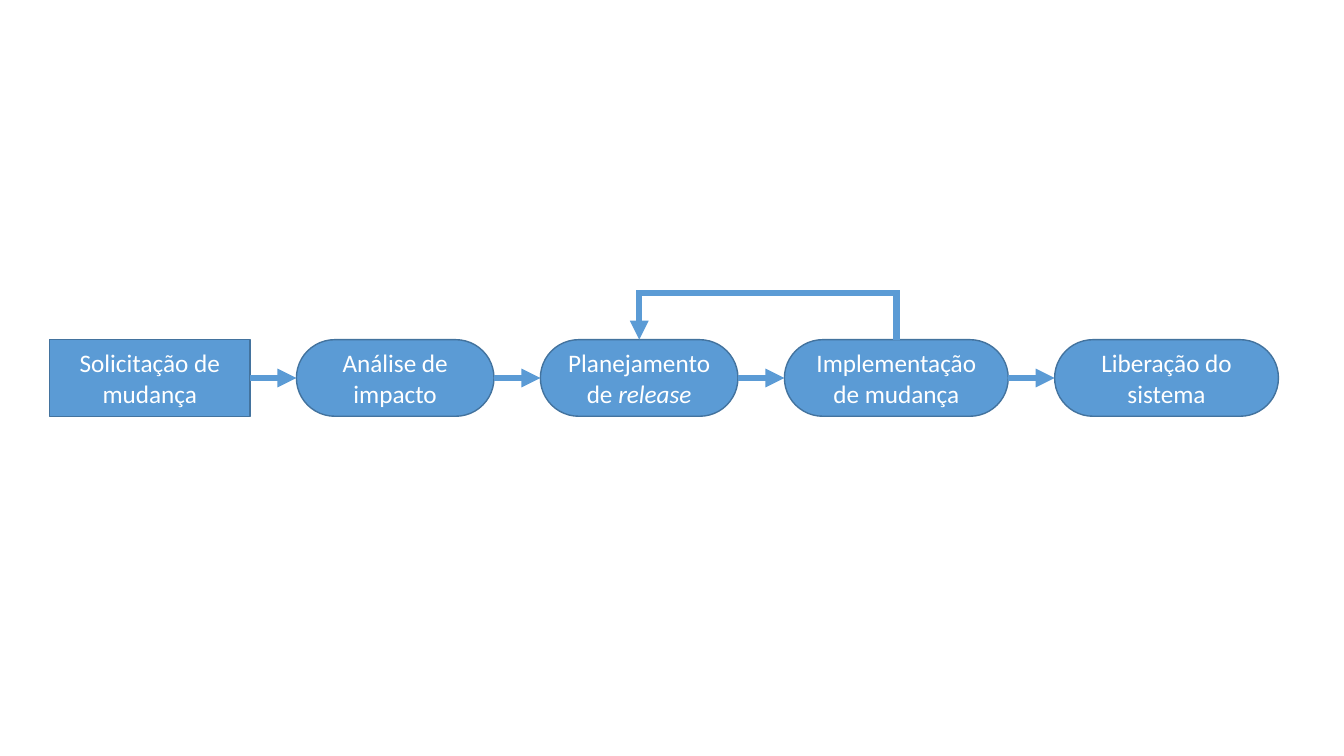
import dataclasses
import itertools

import pptx
import pptx.dml.color
import pptx.enum.shapes
import pptx.enum.text
import pptx.oxml
import pptx.oxml.ns
import pptx.util

SHAPES = pptx.enum.shapes.MSO_SHAPE


@dataclasses.dataclass(frozen=True)
class Theme:
    step_fill: str = "5B9BD5"
    step_border: str = "43739E"
    step_text: str = "FFFFFF"
    font: str = "Calibri"
    text_size: int = 18
    border_width: float = 1
    arrow_width: float = 4.5


def apply_format(target, values):
    for attribute, value in values.items():
        setattr(target, attribute, value)


def rgb(value):
    return pptx.dml.color.RGBColor.from_string(value)


class FlowSlide:
    PX = 9144

    def __init__(self, deck, theme):
        self.theme = theme
        self.slide = deck.slides.add_slide(deck.slide_layouts[6])

    def outline(self, line, color, width):
        line.color.rgb = rgb(color)
        line.width = pptx.util.Pt(width)

    def arrow_style(self, arrow):
        self.outline(arrow.line, self.theme.step_fill, self.theme.arrow_width)
        namespace = pptx.oxml.ns.nsdecls("a")
        line_xml = arrow.line._get_or_add_ln()
        for tag in ('miter lim="800000"', 'tailEnd type="triangle"'):
            line_xml.append(pptx.oxml.parse_xml(f"<a:{tag} {namespace}/>"))

    def step(self, kind, left, top, width, height, runs):
        box = self.slide.shapes.add_shape(
            kind, *(value * self.PX for value in (left, top, width, height))
        )
        box.shadow.inherit = False
        if kind == SHAPES.ROUNDED_RECTANGLE:
            box.adjustments[0] = 0.5
        box.fill.solid()
        box.fill.fore_color.rgb = rgb(self.theme.step_fill)
        self.outline(box.line, self.theme.step_border, self.theme.border_width)
        apply_format(box.text_frame, {
            "word_wrap": True,
            "vertical_anchor": pptx.enum.text.MSO_ANCHOR.MIDDLE,
        })
        label = box.text_frame.paragraphs[0]
        label.alignment = pptx.enum.text.PP_ALIGN.CENTER
        for text, emphasis in runs:
            run = label.add_run()
            run.text = text
            apply_format(run.font, {
                "name": self.theme.font,
                "size": pptx.util.Pt(self.theme.text_size),
                "italic": emphasis,
            })
            run.font.color.rgb = rgb(self.theme.step_text)
        return box

    def forward_arrow(self, source, target):
        arrow = self.slide.shapes.add_connector(
            pptx.enum.shapes.MSO_CONNECTOR.STRAIGHT, 0, 0, 0, 0
        )
        arrow.begin_connect(source, 3)
        arrow.end_connect(target, 1)
        self.arrow_style(arrow)
        arrow._element.spPr.append(
            pptx.oxml.parse_xml(f'<a:effectLst {pptx.oxml.ns.nsdecls("a")}/>')
        )

    def return_arrow(self, source, target, rise):
        start, end = (
            (box.left + box.width // 2) // self.PX for box in (source, target)
        )
        base = source.top // self.PX
        route = self.slide.shapes.build_freeform(start, base, scale=self.PX)
        route.add_line_segments(
            [(start, base - rise), (end, base - rise), (end, base)], close=False
        )
        arrow = route.convert_to_shape()
        arrow.shadow.inherit = False
        arrow.fill.background()
        self.arrow_style(arrow)


def main():
    deck = pptx.Presentation()
    apply_format(deck, {
        "slide_width": 1333 * FlowSlide.PX,
        "slide_height": 750 * FlowSlide.PX,
    })
    flow = FlowSlide(deck, Theme())

    activity = SHAPES.ROUNDED_RECTANGLE
    process = (
        (SHAPES.RECTANGLE, 199, [("Solicitação de mudança", None)]),
        (activity, 196, [("Análise de impacto", None)]),
        (activity, 196, [("Planejamento de ", None), ("release", True)]),
        (activity, 222, [("Implementação de mudança", None)]),
        (activity, 222, [("Liberação do sistema", None)]),
    )
    left, top, height, gap = 49, 337, 76, 46
    steps = []
    for kind, width, runs in process:
        steps.append(flow.step(kind, left, top, width, height, runs))
        left += width + gap

    for source, target in itertools.pairwise(steps):
        flow.forward_arrow(source, target)
    request, analysis, planning, implementation, delivery = steps
    flow.return_arrow(implementation, planning, gap)

    deck.save("out.pptx")


if __name__ == "__main__":
    main()
